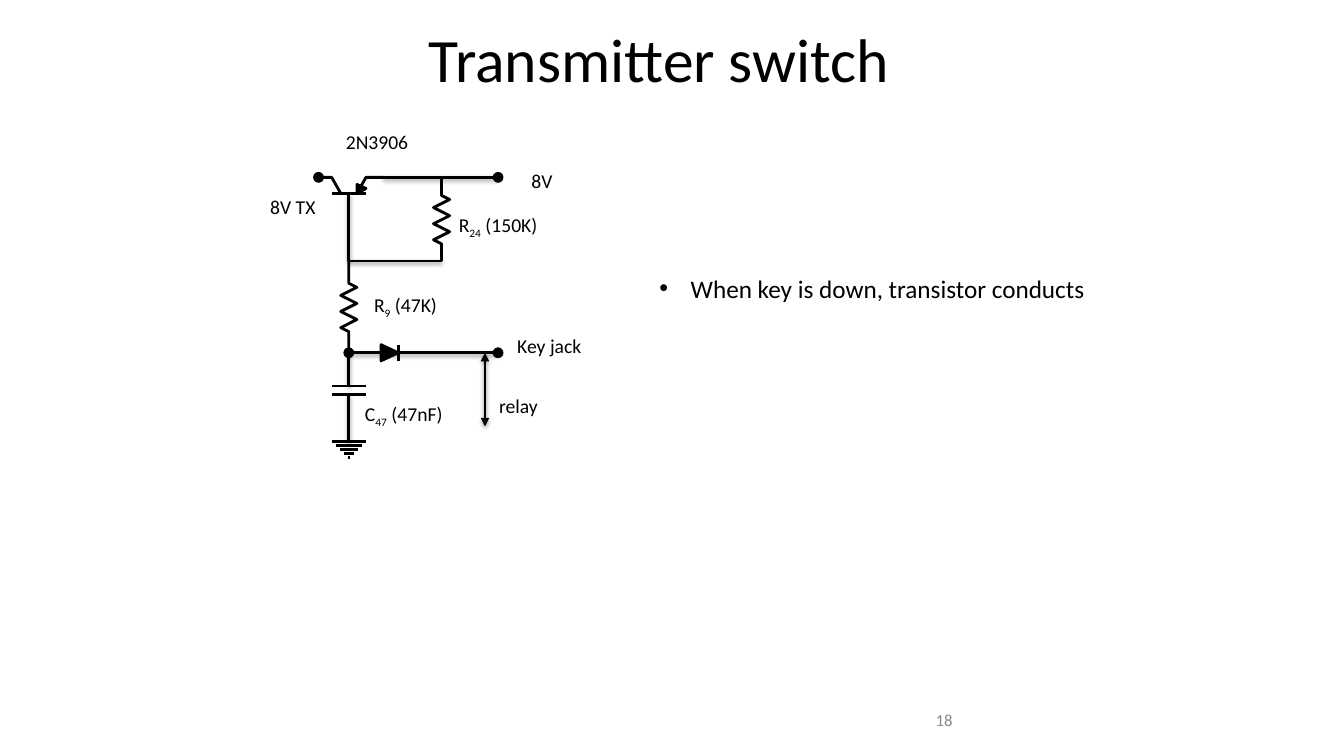
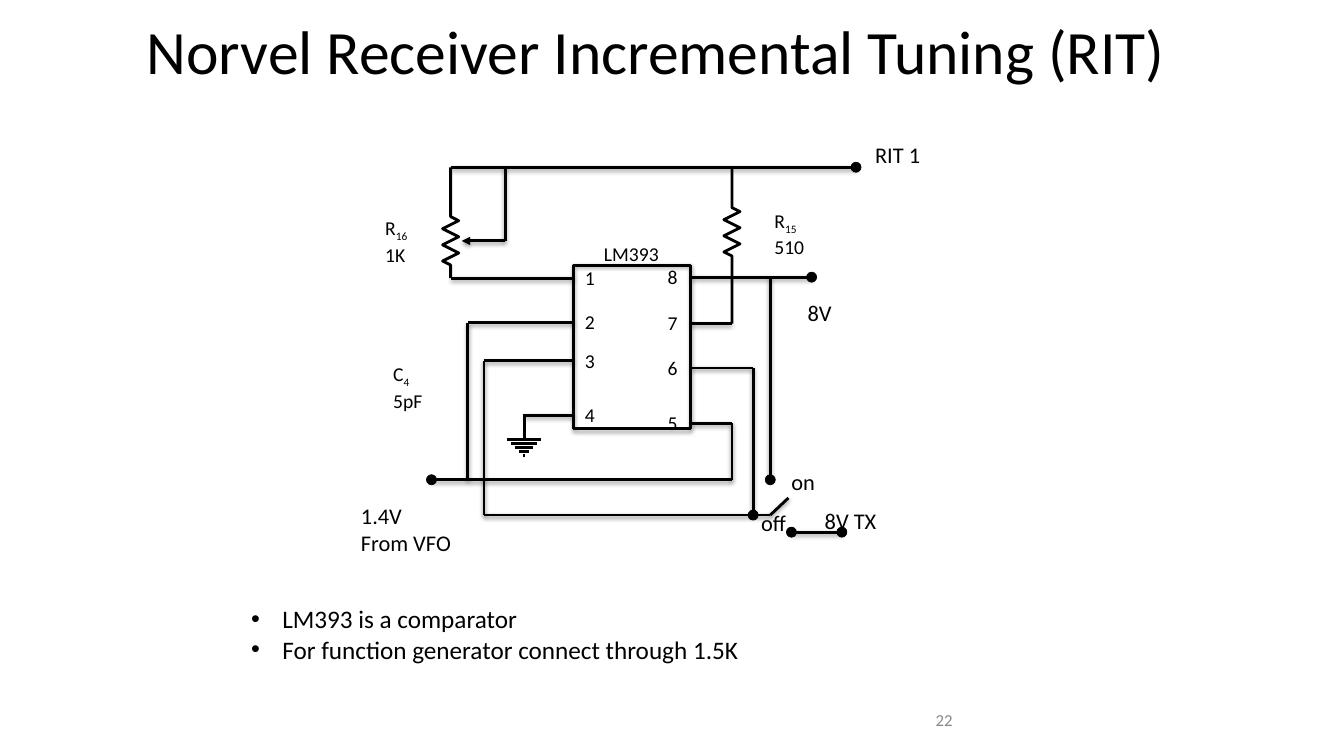
from lxml import etree
from pptx import Presentation
from pptx.dml.color import RGBColor
from pptx.enum.shapes import MSO_CONNECTOR, MSO_SHAPE
from pptx.enum.text import MSO_ANCHOR, MSO_AUTO_SIZE, PP_ALIGN
from pptx.oxml.ns import qn
from pptx.util import Inches, Pt

STRAIGHT = MSO_CONNECTOR.STRAIGHT
OVAL, RECTANGLE = MSO_SHAPE.OVAL, MSO_SHAPE.RECTANGLE
TOP, MIDDLE = MSO_ANCHOR.TOP, MSO_ANCHOR.MIDDLE
NO_AUTOSIZE = MSO_AUTO_SIZE.NONE
LEFT, CENTER, RIGHT = PP_ALIGN.LEFT, PP_ALIGN.CENTER, PP_ALIGN.RIGHT

COLORS = {"ink": "000000", "number": "888888"}
FONT = "Calibri"
DOT = 0.1
BAR = 0.17  # half the width of a capacitor plate or ground bar
TOOTH = 0.08  # half the width of a resistor, diode or arrow


def write(shape, text, size=14, color="ink", align=LEFT, anchor=TOP,
          inset=0.05, bullet=False):
    """Fill a shape with text: newlines part paragraphs, bars enclose subscripts."""
    frame = shape.text_frame
    frame.word_wrap = True
    frame.auto_size = NO_AUTOSIZE
    frame.vertical_anchor = anchor
    frame.margin_left = frame.margin_right = Inches(inset)
    frame.margin_top = frame.margin_bottom = Inches(inset)
    for index, line in enumerate(text.split("\n")):
        paragraph = frame.add_paragraph() if index else frame.paragraphs[0]
        paragraph.alignment = align
        if bullet:
            properties = paragraph._p.get_or_add_pPr()
            properties.set("marL", str(Inches(0.31)))
            properties.set("indent", str(-Inches(0.31)))
            etree.SubElement(properties, qn("a:buFont"), typeface="Arial")
            etree.SubElement(properties, qn("a:buChar"), char="•")
        for part, piece in enumerate(line.split("|")):
            if not piece:
                continue
            run = paragraph.add_run()
            run.text = piece
            run.font.name = FONT
            run.font.size = Pt(size)
            run.font.color.rgb = RGBColor.from_string(COLORS[color])
            if part % 2:
                run.font._element.set("baseline", "-25000")


def ink(shape, width=2, shadow=False, arrowheads=()):
    """Give a shape its outline, arrowheads and either a soft shadow or none."""
    shape.line.color.rgb = RGBColor.from_string(COLORS["ink"])
    shape.line.width = Pt(width)
    properties = shape.element.spPr
    for end in arrowheads:
        etree.SubElement(properties.find(qn("a:ln")), qn("a:" + end), type="triangle")
    effects = etree.SubElement(properties, qn("a:effectLst"))
    if shadow:
        outer = etree.SubElement(effects, qn("a:outerShdw"), blurRad=str(Pt(3)),
                                 dist=str(Pt(1.6)), dir="5400000", rotWithShape="0")
        tint = etree.SubElement(outer, qn("a:srgbClr"), val=COLORS["ink"])
        etree.SubElement(tint, qn("a:alpha"), val="38000")


# Transmitter switch: the columns and rows its parts sit on
base_x, bias_x, relay_x, output_x = 3.46, 4.38, 4.81, 4.94
supply_y, base_y, join_y, key_y = 1.76, 1.92, 2.59, 3.5
plate_y, ground_y = 3.83, 4.38
collector_x, emitter_x = base_x - 2 * BAR, base_x + 2 * BAR
cathode_x = 3.95
anode_x = cathode_x - BAR
second_plate_y = plate_y + TOOTH

transmitter = {
    "title": "Transmitter switch",
    "title_width": 13.08,
    "title_top": 0.2,
    "bullets": "When key is down, transistor conducts",
    "bullet_box": (6.49, 2.66, 4.68),
    "number": "18",
    "wires": [
        [(base_x, base_y), (base_x, join_y), (bias_x, join_y)],
        [(emitter_x, supply_y), (output_x, supply_y)],
        [(base_x, key_y), (output_x, key_y)],
        [(base_x, key_y), (base_x, plate_y)],
        [(base_x, second_plate_y), (base_x, ground_y)],
    ],
    "arrow": ((relay_x, key_y), (relay_x, 4.23), ("headEnd", "tailEnd")),
    "bars": [(base_x, y) for y in (base_y, plate_y, second_plate_y)],
    "outlines": [
        [(collector_x, supply_y), (base_x - BAR, supply_y), (base_x - TOOTH, base_y),
         (base_x + TOOTH, base_y), (base_x + BAR, supply_y), (emitter_x, supply_y)],
        [(cathode_x, key_y - TOOTH), (cathode_x, key_y + TOOTH)],
    ],
    "triangles": [
        [(base_x + TOOTH, base_y), (base_x + BAR, 1.87), (base_x + TOOTH, 1.83)],
        [(cathode_x, key_y), (anode_x, key_y - TOOTH), (anode_x, key_y + TOOTH)],
    ],
    "resistors": [(bias_x, supply_y, 2.18, join_y), (base_x, join_y, 3.05, key_y)],
    "ground": (base_x, ground_y),
    "dots": [(collector_x + 0.04, supply_y), (base_x, key_y),
             (output_x, key_y), (output_x, supply_y)],
    "chip": None,
    "labels": {14: [
        ("2N3906", 3.38, 1.24),
        ("8V TX", 2.63, 1.88),
        ("8V", 5.22, 1.63),
        ("R|24| (150K)", 4.5, 2.06),
        ("R|9| (47K)", 3.66, 2.86),
        ("C|47| (47nF)", 3.57, 3.94),
        ("Key jack", 5.08, 3.26),
        ("relay", 4.9, 3.86),
    ]},
    "pins": [],
}

# Receiver tuning: the chip, its pins, and the columns and rows around it
chip_left, chip_top, chip_width, chip_height = 5.69, 2.63, 1.16, 1.62
chip_right = chip_left + chip_width
pin1_y, pin2_y, pin3_y, pin4_y = left_pins = [2.76, 3.2, 3.58, 4.12]
pin8_y, pin7_y, pin6_y, pin5_y = right_pins = [2.75, 3.21, 3.65, 4.2]
input_x, trim_x, pin2_x, pin3_x = 4.28, 4.47, 4.64, 4.8
wiper_x, ground_x = 5.01, 5.2
load_x, off_x, on_x, tx_x = 7.26, 7.47, 7.64, 7.85
supply_x, tx_end_x, rit_x = 8.05, 8.35, 8.49
rit_y, wiper_y, ground_y = 1.66, 2.39, 4.36
vfo_y, off_y, tx_y = 4.76, 5.11, 5.28

receiver = {
    "title": "Norvel Receiver Incremental Tuning (RIT)",
    "title_width": 13.02,
    "title_top": 0.12,
    "bullets": "LM393 is a comparator\nFor function generator connect through 1.5K",
    "bullet_box": (2.44, 5.94, 8.51),
    "number": "22",
    "wires": [
        [(rit_x, rit_y), (trim_x, rit_y)],
        [(wiper_x, rit_y), (wiper_x, wiper_y)],
        [(trim_x, pin1_y), (chip_left, pin1_y)],
        [(chip_left, pin2_y), (pin2_x, pin2_y), (pin2_x, vfo_y)],
        [(chip_left, pin3_y), (pin3_x, pin3_y), (pin3_x, off_y), (on_x, off_y)],
        [(chip_left, pin4_y), (ground_x, pin4_y)],
        [(chip_right, pin8_y), (supply_x, pin8_y)],
        [(on_x, pin8_y), (on_x, vfo_y)],
        [(chip_right, pin7_y), (load_x, pin7_y)],
        [(chip_right, pin6_y), (off_x, pin6_y), (off_x, off_y)],
        [(chip_right, pin5_y), (load_x, pin5_y), (load_x, vfo_y), (input_x, vfo_y)],
        [(on_x, off_y), (7.82, 4.94)],
        [(tx_x, tx_y), (tx_end_x, tx_y)],
    ],
    "arrow": ((wiper_x, wiper_y), (4.58, wiper_y), ("tailEnd",)),
    "bars": [],
    "outlines": [],
    "triangles": [],
    "resistors": [(trim_x, rit_y, wiper_y, pin1_y), (load_x, rit_y, 2.3, pin7_y)],
    "ground": (ground_x, ground_y),
    "dots": [(rit_x, rit_y), (supply_x, pin8_y), (input_x, vfo_y), (on_x, vfo_y),
             (off_x, off_y), (tx_x, tx_y), (tx_end_x, tx_y)],
    "chip": (chip_left, chip_top, chip_width, chip_height),
    "labels": {
        14: [
            ("LM393", 5.94, 2.35),
            ("R|16|\n1K", 3.77, 2.09),
            ("R|15|\n510", 7.63, 2.02),
            ("C|4|\n5pF", 3.85, 3.54),
        ],
        16: [
            ("RIT 1", 8.63, 1.35),
            ("8V", 7.96, 2.92),
            ("on", 7.8, 4.59),
            ("off", 7.5, 5),
            ("8V TX", 8.13, 4.98),
            ("1.4V\nFrom VFO", 3.53, 4.93),
        ],
    },
    "pins": [*zip("1234", left_pins, [LEFT] * 4), *zip("8765", right_pins, [RIGHT] * 4)],
}

deck = Presentation()
deck.slide_width, deck.slide_height = Inches(13.33), Inches(7.5)
title_only = deck.slide_layouts[5]

for circuit in (transmitter, receiver):
    shapes = deck.slides.add_slide(title_only).shapes

    title = shapes.title
    title.left, title.top = Inches(0), Inches(circuit["title_top"])
    title.width, title.height = Inches(circuit["title_width"]), Inches(0.74)
    write(title, circuit["title"], size=44, align=CENTER, anchor=MIDDLE, inset=0)

    bullet_height = 0.1 + 0.3 * len(circuit["bullets"].split("\n"))
    bullets = shapes.add_textbox(*map(Inches, (*circuit["bullet_box"], bullet_height)))
    write(bullets, circuit["bullets"], size=18, bullet=True)

    number = shapes.add_textbox(Inches(7.17), Inches(7), Inches(2.33), Inches(0.29))
    write(number, circuit["number"], size=12, color="number", align=RIGHT, anchor=MIDDLE)

    for route in circuit["wires"]:
        for start, end in zip(route, route[1:]):
            ink(shapes.add_connector(STRAIGHT, *map(Inches, start + end)), shadow=True)
    start, end, heads = circuit["arrow"]
    ink(shapes.add_connector(STRAIGHT, *map(Inches, start + end)),
        shadow=True, arrowheads=heads)

    x, y = circuit["ground"]
    bars = [(x, y, BAR) for x, y in circuit["bars"]]
    bars += [(x, y + 0.04 * step, BAR - 0.04 * step) for step in range(5)]
    symbol_lines = [(x - half, y, x + half, y) for x, y, half in bars]
    symbol_lines.append((x, y - 0.25, x, y))
    for ends in symbol_lines:
        ink(shapes.add_connector(STRAIGHT, *map(Inches, ends)))

    outlines = [(points, False) for points in circuit["outlines"]]
    outlines += [(points, True) for points in circuit["triangles"]]
    for x, top, middle, bottom in circuit["resistors"]:
        teeth = [(x - TOOTH * (-1) ** step, middle + TOOTH * (step - 3.5))
                 for step in range(1, 7)]
        teeth[0:0] = [(x, top), (x, middle - 3 * TOOTH)]
        teeth += [(x, middle + 3 * TOOTH), (x, bottom)]
        outlines.append((teeth, False))
    for points, solid in outlines:
        corners = [(Inches(x), Inches(y)) for x, y in points]
        builder = shapes.build_freeform(*corners[0])
        builder.add_line_segments(corners[1:], close=solid)
        outline = builder.convert_to_shape()
        if solid:
            outline.fill.solid()
            outline.fill.fore_color.rgb = RGBColor.from_string(COLORS["ink"])
        else:
            outline.fill.background()
        ink(outline)

    if circuit["chip"]:
        chip = shapes.add_shape(RECTANGLE, *map(Inches, circuit["chip"]))
        chip.fill.background()
        ink(chip, shadow=True)

    for x, y in circuit["dots"]:
        dot = shapes.add_shape(OVAL, Inches(x - DOT / 2), Inches(y - DOT / 2),
                               Inches(DOT), Inches(DOT))
        dot.fill.solid()
        dot.fill.fore_color.rgb = RGBColor.from_string(COLORS["ink"])
        ink(dot, width=0.5)

    for size, labels in circuit["labels"].items():
        for text, x, y in labels:
            height = 0.1 + size / 60 * len(text.split("\n"))
            label = shapes.add_textbox(Inches(x), Inches(y), Inches(1.19), Inches(height))
            write(label, text, size=size)

    for text, y, align in circuit["pins"]:
        x = chip_left + 0.06 if align == LEFT else chip_right - 0.84
        pin = shapes.add_textbox(Inches(x), Inches(y - 0.17), Inches(0.76), Inches(0.34))
        write(pin, text, align=align)

deck.save("out.pptx")
